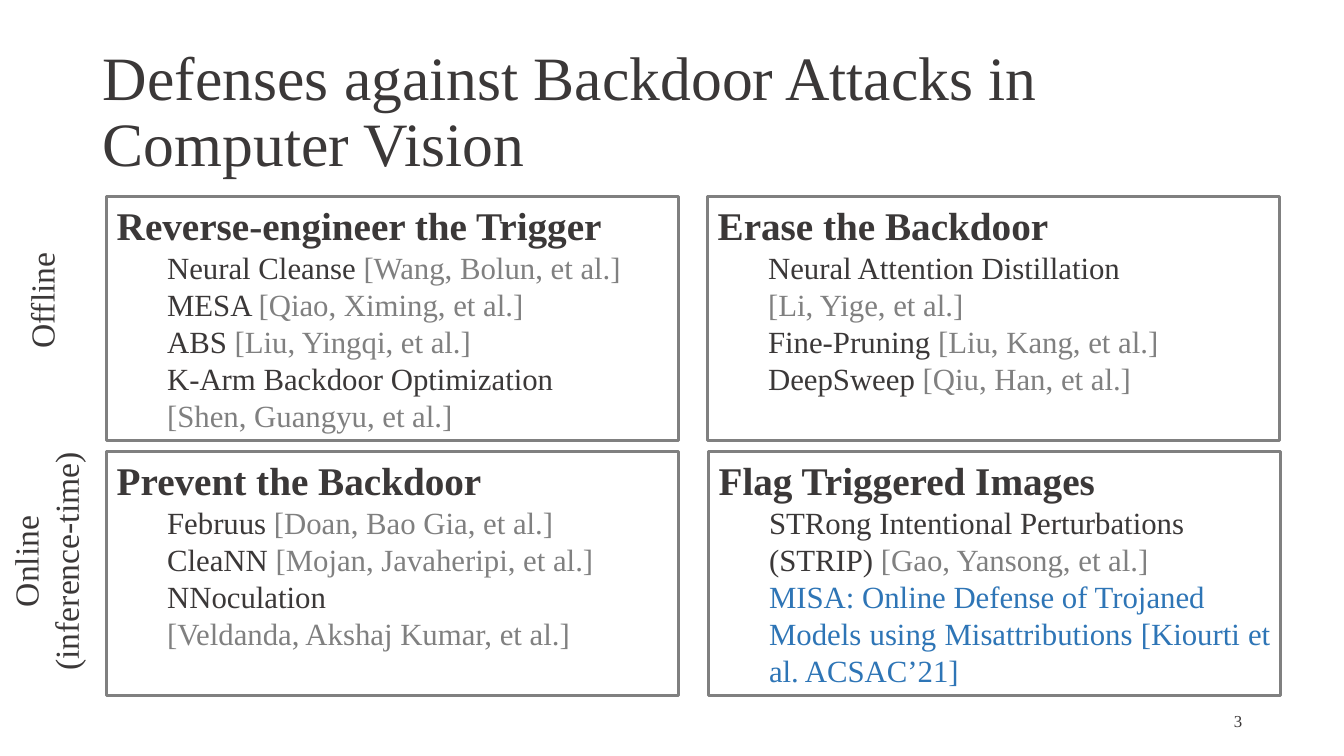
from pptx import Presentation
from pptx.dml.color import RGBColor
from pptx.enum.shapes import MSO_SHAPE
from pptx.enum.text import MSO_ANCHOR, MSO_AUTO_SIZE, PP_ALIGN
from pptx.util import Inches, Pt

RECTANGLE = MSO_SHAPE.RECTANGLE
TOP, MIDDLE = MSO_ANCHOR.TOP, MSO_ANCHOR.MIDDLE
NO_FIT, GROW = MSO_AUTO_SIZE.NONE, MSO_AUTO_SIZE.SHAPE_TO_FIT_TEXT
LEFT, CENTER, RIGHT, JUSTIFY = (
    PP_ALIGN.LEFT, PP_ALIGN.CENTER, PP_ALIGN.RIGHT, PP_ALIGN.JUSTIFY)

FONT = "Times New Roman"
DARK = RGBColor(0x3B, 0x38, 0x38)
GRAY = RGBColor(0x80, 0x80, 0x80)
BLUE = RGBColor(0x2E, 0x75, 0xB6)

BOX_WIDTH, BOX_HEIGHT = 5.67, 2.42

# Each box: left, top, heading, lines of (method, citation, method colour)
DEFENSES = [
    (1.06, 1.95, "Reverse-engineer the Trigger", [
        ("Neural Cleanse ", "[Wang, Bolun, et al.]", DARK),
        ("MESA ", "[Qiao, Ximing, et al.]", DARK),
        ("ABS ", "[Liu, Yingqi, et al.]", DARK),
        ("K-Arm Backdoor Optimization ", "", DARK),
        ("", "[Shen, Guangyu, et al.]", DARK)]),
    (7.02, 1.95, "Erase the Backdoor", [
        ("Neural Attention Distillation", "", DARK),
        ("", "[Li, Yige, et al.]", DARK),
        ("Fine-Pruning ", "[Liu, Kang, et al.]", DARK),
        ("DeepSweep ", "[Qiu, Han, et al.]", DARK)]),
    (1.06, 4.48, "Prevent the Backdoor", [
        ("Februus ", "[Doan, Bao Gia, et al.]", DARK),
        ("CleaNN ", "[Mojan, Javaheripi, et al.]", DARK),
        ("NNoculation", "", DARK),
        ("", "[Veldanda, Akshaj Kumar, et al.]", DARK)]),
    (7.03, 4.48, "Flag Triggered Images", [
        ("STRong Intentional Perturbations", "", DARK),
        ("(STRIP) ", "[Gao, Yansong, et al.]", DARK),
        ("MISA: Online Defense of Trojaned ", "", BLUE),
        ("Models using Misattributions [Kiourti et al. ACSAC’21]", "", BLUE)]),
]


def add_span(para, text, size, color=DARK, bold=False):
    span = para.add_run()
    span.text = text
    span.font.name = FONT
    span.font.size = Pt(size)
    span.font.bold = bold
    span.font.color.rgb = color


def add_para(frame, align=LEFT):
    """Return the empty first paragraph, or a new one after the others."""
    first = frame.paragraphs[0]
    para = frame.add_paragraph() if first.runs else first
    para.alignment = align
    return para


def set_title(page, text):
    title = page.shapes.title
    title.left, title.top = Inches(0.92), Inches(0.4)
    title.width, title.height = Inches(11.5), Inches(1.45)
    frame = title.text_frame
    frame.auto_size = NO_FIT
    frame.vertical_anchor = MIDDLE
    para = add_para(frame)
    para.line_spacing = 0.9
    add_span(para, text, size=44)


def add_defense_box(page, left, top, heading, lines):
    box = page.shapes.add_shape(RECTANGLE, Inches(left), Inches(top),
                                Inches(BOX_WIDTH), Inches(BOX_HEIGHT))
    box.shadow.inherit = False
    box.fill.background()
    box.line.color.rgb = GRAY
    box.line.width = Pt(2.25)
    frame = box.text_frame
    frame.word_wrap = True
    frame.vertical_anchor = TOP
    add_span(add_para(frame, JUSTIFY), heading, size=28, bold=True)
    for method, citation, color in lines:
        para = add_para(frame, JUSTIFY)
        para.level = 1
        properties = para._p.get_or_add_pPr()
        properties.set("marL", str(Inches(0.5)))
        properties.set("indent", "0")
        for text, text_color in ((method, color), (citation, GRAY)):
            if text:
                add_span(para, text, size=22, color=text_color)


def add_label(page, left, top, width, height, lines, size=24, align=LEFT,
              upright=True):
    label = page.shapes.add_textbox(Inches(left), Inches(top),
                                    Inches(width), Inches(height))
    frame = label.text_frame
    frame.word_wrap = upright
    if upright:
        frame.vertical_anchor = MIDDLE
    else:
        frame.auto_size = GROW
        frame._txBody.bodyPr.set("vert", "vert270")
    for line in lines:
        add_span(add_para(frame, align), line, size=size)


def main():
    deck = Presentation()
    deck.slide_width, deck.slide_height = Inches(13.33), Inches(7.5)
    page = deck.slides.add_slide(deck.slide_layouts[5])

    set_title(page, "Defenses against Backdoor Attacks in Computer Vision")

    # Two by two matrix of defenses
    for left, top, heading, lines in DEFENSES:
        add_defense_box(page, left, top, heading, lines)

    # Row labels, reading upwards
    add_label(page, 0, 4.48, 1.01, 2.18, ["Online", "(inference-time)"],
              align=CENTER, upright=False)
    add_label(page, 0.16, 2.51, 0.61, 1.05, ["Offline"], upright=False)

    # Page number
    add_label(page, 9.42, 6.95, 3, 0.4, ["3"], size=12, align=RIGHT)

    deck.save("out.pptx")


if __name__ == "__main__":
    main()
